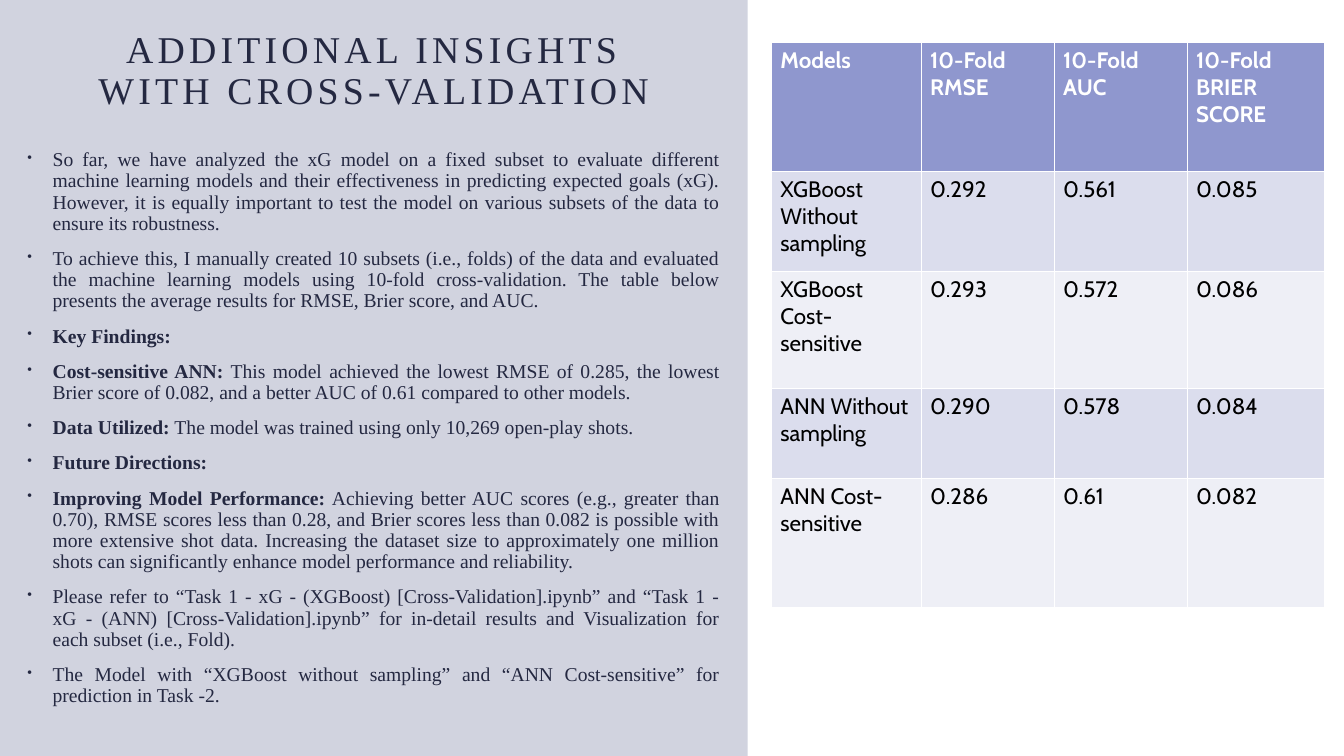
from dataclasses import dataclass

from lxml import etree
from pptx import Presentation
from pptx.dml.color import RGBColor
from pptx.enum.shapes import MSO_SHAPE
from pptx.enum.text import MSO_ANCHOR, MSO_AUTO_SIZE, PP_ALIGN
from pptx.oxml.ns import qn
from pptx.slide import Slide
from pptx.text.text import Font
from pptx.util import Pt

RECTANGLE = MSO_SHAPE.RECTANGLE
TOP, BOTTOM = MSO_ANCHOR.TOP, MSO_ANCHOR.BOTTOM
CENTER, JUSTIFY = PP_ALIGN.CENTER, PP_ALIGN.JUSTIFY
NO_AUTOFIT = MSO_AUTO_SIZE.NONE
TITLE_ONLY = 5


@dataclass(frozen=True)
class Theme:
    panel: str = "485083"
    panel_opacity: int = 25
    ink: str = "242841"
    header_fill: str = "8F97CE"
    header_text: str = "FFFFFF"
    bands: tuple[str, str] = ("DBDDED", "EEEFF6")
    cell_text: str = "000000"
    serif: str = "Times New Roman"
    sans: str = "Cabin"
    title_size: float = 27
    body_size: float = 14
    table_size: float = 16
    line_spacing: float = 0.9


@dataclass(frozen=True)
class Bullet:
    text: str = ""
    label: str = ""


@dataclass(frozen=True)
class ModelRow:
    cells: tuple[str, str, str, str]
    height: float


THEME = Theme()
TITLE = "ADDITIONAL INSIGHTS WITH CROSS-VALIDATION"

BULLETS = [
    Bullet("So far, we have analyzed the xG model on a fixed subset to evaluate different machine "
           "learning models and their effectiveness in predicting expected goals (xG). However, it "
           "is equally important to test the model on various subsets of the data to ensure its "
           "robustness."),
    Bullet("To achieve this, I manually created 10 subsets (i.e., folds) of the data and evaluated "
           "the machine learning models using 10-fold cross-validation. The table below presents "
           "the average results for RMSE, Brier score, and AUC."),
    Bullet(label="Key Findings:"),
    Bullet(" This model achieved the lowest RMSE of 0.285, the lowest Brier score of 0.082, and a "
           "better AUC of 0.61 compared to other models.", "Cost-sensitive ANN:"),
    Bullet(" The model was trained using only 10,269 open-play shots.", "Data Utilized:"),
    Bullet(label="Future Directions:"),
    Bullet(" Achieving better AUC scores (e.g., greater than 0.70), RMSE scores less than 0.28, and "
           "Brier scores less than 0.082 is possible with more extensive shot data. Increasing the "
           "dataset size to approximately one million shots can significantly enhance model "
           "performance and reliability.", "Improving Model Performance:"),
    Bullet("Please refer to “Task 1 - xG - (XGBoost) [Cross-Validation].ipynb” and “Task 1 - xG - "
           "(ANN) [Cross-Validation].ipynb” for in-detail results and Visualization for each "
           "subset (i.e., Fold)."),
    Bullet("The Model with “XGBoost without sampling” and “ANN Cost-sensitive” for prediction in "
           "Task -2."),
]

COLUMN_WIDTHS = (107, 95, 95, 98.5)
MODEL_ROWS = [
    ModelRow(("Models", "10-Fold RMSE", "10-Fold AUC", "10-Fold BRIER SCORE"), 92),
    ModelRow(("XGBoost Without sampling", "0.292", "0.561", "0.085"), 71.5),
    ModelRow(("XGBoost Cost-sensitive", "0.293", "0.572", "0.086"), 83.5),
    ModelRow(("ANN Without sampling", "0.290", "0.578", "0.084"), 64.5),
    ModelRow(("ANN Cost-sensitive", "0.286", "0.61", "0.082"), 92),
]


def style_font(font: Font, name: str, size: float, color: str, bold: bool = False) -> None:
    font.name = name
    font.size = Pt(size)
    font.bold = bold
    font.color.rgb = RGBColor.from_string(color)


def add_panel(page: Slide) -> None:
    """Put the translucent left panel behind everything else."""
    panel = page.shapes.add_shape(RECTANGLE, 0, 0, Pt(534), Pt(540))
    panel.shadow.inherit = False
    panel.line.fill.background()
    panel.fill.solid()
    panel.fill.fore_color.rgb = RGBColor.from_string(THEME.panel)
    color = panel._element.spPr.find(f".//{qn('a:srgbClr')}")
    etree.SubElement(color, qn("a:alpha"), val=str(THEME.panel_opacity * 1000))
    page.shapes._spTree.insert(2, panel._element)


def fill_title(page: Slide) -> None:
    title = page.shapes.title
    title.left, title.top, title.width, title.height = Pt(54.5), Pt(18.5), Pt(425), Pt(65.5)
    frame = title.text_frame
    frame.word_wrap = True
    frame.auto_size = NO_AUTOFIT
    frame.vertical_anchor = BOTTOM
    para = frame.paragraphs[0]
    para.alignment = CENTER
    para.line_spacing = THEME.line_spacing
    style_font(para.font, THEME.serif, THEME.title_size, THEME.ink)
    span = para.add_run()
    span.text = TITLE
    span._r.get_or_add_rPr().set("spc", "300")


def add_bullets(page: Slide) -> None:
    box = page.shapes.add_textbox(Pt(8), Pt(103.5), Pt(513.5), Pt(429))
    frame = box.text_frame
    frame.word_wrap = True
    frame.vertical_anchor = TOP
    for index, bullet in enumerate(BULLETS):
        para = frame.add_paragraph() if index else frame.paragraphs[0]
        para.alignment = JUSTIFY
        para.line_spacing = THEME.line_spacing
        para.space_before = Pt(10 if index else 0)
        properties = para._p.get_or_add_pPr()
        properties.set("marL", str(Pt(22.5)))
        properties.set("indent", str(Pt(-18)))
        etree.SubElement(properties, qn("a:buSzPct"), val="70000")
        etree.SubElement(properties, qn("a:buChar"), char="•")
        style_font(para.font, THEME.serif, THEME.body_size, THEME.ink)
        if bullet.label:
            label = para.add_run()
            label.text = bullet.label
            label.font.bold = True
        if bullet.text:
            para.add_run().text = bullet.text


def add_model_table(page: Slide) -> None:
    height = sum(row.height for row in MODEL_ROWS)
    table = page.shapes.add_table(len(MODEL_ROWS), len(COLUMN_WIDTHS), Pt(551), Pt(30.5),
                                  Pt(sum(COLUMN_WIDTHS)), Pt(height)).table
    for column, width in zip(table.columns, COLUMN_WIDTHS):
        column.width = Pt(width)
    for index, model in enumerate(MODEL_ROWS):
        table.rows[index].height = Pt(model.height)
        is_header = index == 0
        fill = THEME.header_fill if is_header else THEME.bands[(index - 1) % 2]
        color = THEME.header_text if is_header else THEME.cell_text
        for cell, text in zip(table.rows[index].cells, model.cells):
            cell.margin_left = cell.margin_right = Pt(6.5)
            cell.margin_top = cell.margin_bottom = Pt(3.25)
            cell.fill.solid()
            cell.fill.fore_color.rgb = RGBColor.from_string(fill)
            cell.text = text
            style_font(cell.text_frame.paragraphs[0].font, THEME.sans, THEME.table_size,
                       color, is_header)


def main() -> None:
    deck = Presentation()
    deck.slide_width, deck.slide_height = Pt(960), Pt(540)
    page = deck.slides.add_slide(deck.slide_layouts[TITLE_ONLY])
    add_panel(page)
    fill_title(page)
    add_bullets(page)
    add_model_table(page)
    deck.save("out.pptx")


if __name__ == "__main__":
    main()
